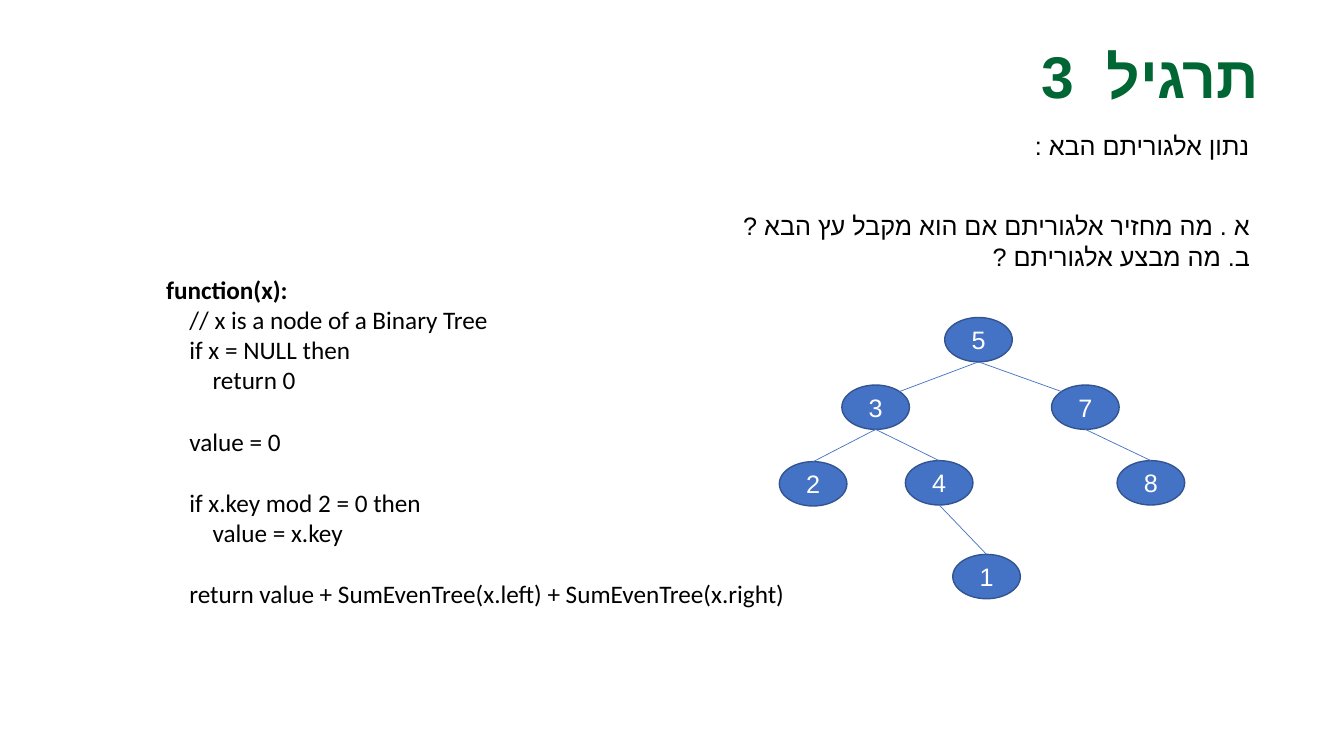
from lxml.etree import SubElement
from pptx import Presentation
from pptx.dml.color import RGBColor
from pptx.enum.shapes import MSO_CONNECTOR as Connector, MSO_SHAPE as Shape
from pptx.enum.text import MSO_ANCHOR as Anchor, MSO_AUTO_SIZE as AutoSize, PP_ALIGN as Align
from pptx.oxml.ns import qn
from pptx.util import Emu, Pt

NODE_WIDTH, NODE_HEIGHT = 67, 44
INDENT = 23
CODE_LINE = 22

NODES = {
    "5": (937, 315),
    "2": (773, 458),
    "4": (898, 457),
    "1": (945, 550),
    "3": (835, 382),
    "7": (1043, 382),
    "8": (1108, 457),
}
EDGES = [("5", "3", 1), ("5", "7", -1), ("3", "2", 0), ("3", "4", 0), ("7", "8", 0), ("4", "1", 0)]
QUESTIONS = ["א . מה מחזיר אלגוריתם אם הוא מקבל עץ הבא ?", "ב. מה מבצע אלגוריתם ?"]
CODE = [
    ("function(x):", 0, 0),
    ("// x is a node of a Binary Tree", 1, 0),
    ("if x = NULL then", 1, 0),
    ("return 0", 2, 0),
    ("value = 0", 1, 1),
    ("if x.key mod 2 = 0 then", 1, 1),
    ("value = x.key", 2, 0),
    ("return value + SumEvenTree(x.left) + SumEvenTree(x.right)", 1, 1),
]


def px(length):
    return Emu(round(length * 9144))


def color(hex_string):
    return RGBColor.from_string(hex_string)


def write(paragraph, text, font="Calibri", size=18, ink="000000", bold=False,
          align=Align.LEFT, rtl=False, indent=0, before=0):
    run = paragraph.add_run()
    run.text = text
    run.font.name = font
    run.font.size = Pt(size)
    run.font.bold = bold
    run.font.color.rgb = color(ink)
    SubElement(run.font._element, qn("a:cs")).set("typeface", "Arial")
    paragraph.alignment = align
    paragraph.space_before = Pt(before)
    paragraph.space_after = Pt(0)
    paragraph.line_spacing = 1.0
    properties = paragraph._p.get_or_add_pPr()
    properties.set("marL", str(px(indent)))
    properties.set("indent", "0")
    properties.set("rtl", str(int(rtl)))
    SubElement(properties, qn("a:buNone"))


class ExerciseSlide:
    """Holds the style and the slide, and draws each kind of element."""

    fill = "4472C4"
    outline = "325491"
    title_ink = "006633"

    def __init__(self, presentation):
        self.slide = presentation.slides.add_slide(presentation.slide_layouts[1])

    def fill_frame(self, shape, box, lines, anchor=Anchor.TOP, **style):
        shape.left, shape.top, shape.width, shape.height = map(px, box)
        frame = shape.text_frame
        frame.word_wrap = True
        frame.auto_size = AutoSize.NONE
        frame.vertical_anchor = anchor
        for number, (text, changes) in enumerate(lines):
            paragraph = frame.add_paragraph() if number else frame.paragraphs[0]
            write(paragraph, text, **{**style, **changes})

    def title(self, text, box):
        self.fill_frame(self.slide.shapes.title, box, [(text, {})], Anchor.MIDDLE,
                        font="Times New Roman", size=42, ink=self.title_ink,
                        bold=True, align=Align.RIGHT, rtl=True)

    def questions(self, texts, box):
        self.fill_frame(self.slide.placeholders[1], box, [(text, {}) for text in texts],
                        font="Arial", align=Align.JUSTIFY, rtl=True)

    def text_box(self, lines, box, **style):
        shape = self.slide.shapes.add_textbox(*map(px, box))
        self.fill_frame(shape, box, lines, **style)

    def node(self, key, left, top):
        box = (left, top, NODE_WIDTH, NODE_HEIGHT)
        shape = self.slide.shapes.add_shape(Shape.OVAL, *map(px, box))
        shape.shadow.inherit = False
        shape.fill.solid()
        shape.fill.fore_color.rgb = color(self.fill)
        shape.line.color.rgb = color(self.outline)
        shape.line.width = Pt(1)
        self.fill_frame(shape, box, [(key, {})], Anchor.MIDDLE,
                        ink="FFFFFF", align=Align.CENTER, rtl=True)

    def edge(self, parent, child, side):
        parent_left, parent_top = NODES[parent]
        child_left, child_top = NODES[child]
        diagonal = 0.5 ** 0.5
        end_x = child_left + NODE_WIDTH / 2 * (1 + side * diagonal)
        end_y = child_top + NODE_HEIGHT / 2 * (1 - diagonal) * abs(side)
        ends = (parent_left + NODE_WIDTH / 2, parent_top + NODE_HEIGHT, end_x, end_y)
        line = self.slide.shapes.add_connector(Connector.STRAIGHT, *map(px, ends))
        line.line.color.rgb = color(self.fill)
        line.line.width = Pt(0.5)
        SubElement(line._element.spPr, qn("a:effectLst"))


def main():
    presentation = Presentation()
    presentation.slide_width, presentation.slide_height = px(1333), px(750)
    exercise = ExerciseSlide(presentation)
    exercise.title("תרגיל  3", (359, 29, 900, 90))
    exercise.text_box([("נתון אלגוריתם הבא :", {})], (359, 124, 890, 40),
                      align=Align.JUSTIFY, rtl=True)
    exercise.questions(QUESTIONS, (583, 204, 667, 71))
    for key, (left, top) in NODES.items():
        exercise.node(key, left, top)
    for parent, child, side in EDGES:
        exercise.edge(parent, child, side)
    code = [(text, {"indent": level * INDENT, "before": gap * CODE_LINE, "bold": level == 0})
            for text, level, gap in CODE]
    exercise.text_box(code, (155, 267, 667, 343))
    presentation.save("out.pptx")


if __name__ == "__main__":
    main()
